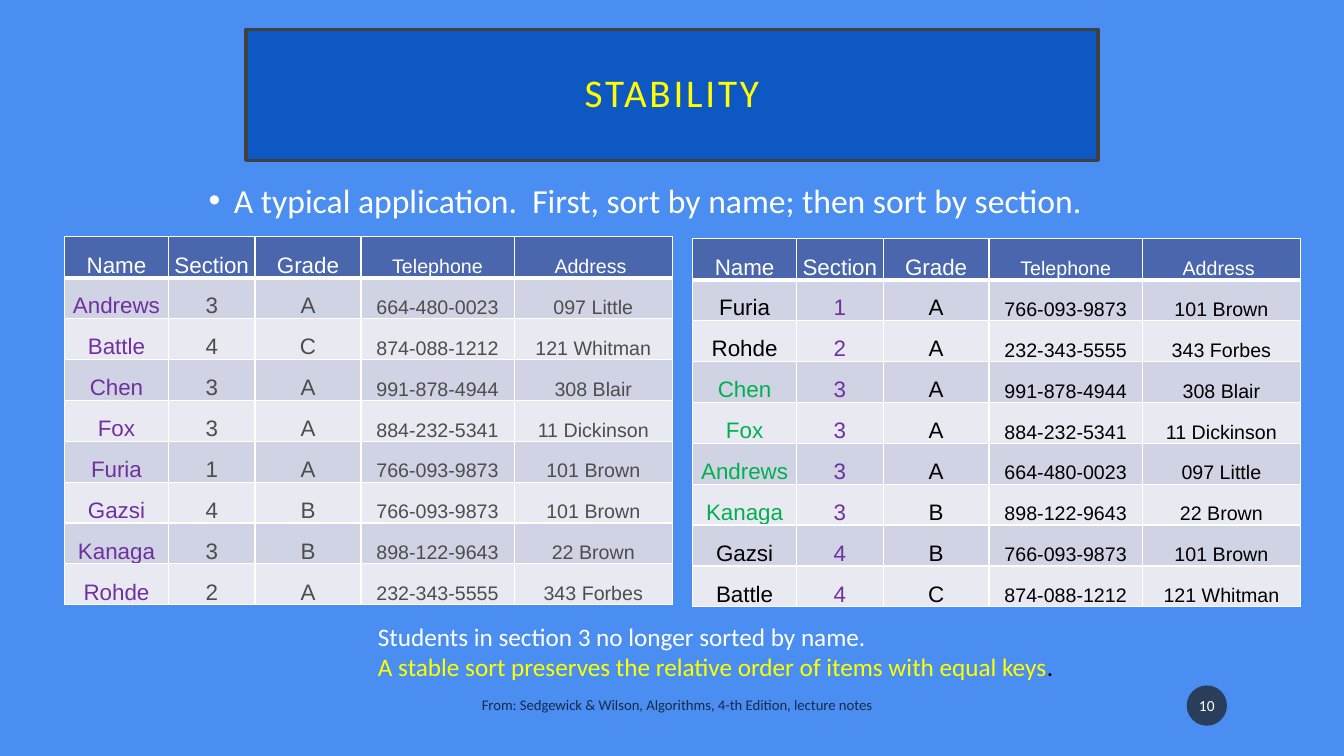
from dataclasses import dataclass

from lxml import etree
from pptx import Presentation
from pptx.dml.color import RGBColor
from pptx.enum.shapes import MSO_SHAPE
from pptx.enum.text import MSO_ANCHOR, MSO_AUTO_SIZE, PP_ALIGN
from pptx.oxml.ns import qn
from pptx.util import Inches, Pt

CENTER = PP_ALIGN.CENTER
MIDDLE, BOTTOM = MSO_ANCHOR.MIDDLE, MSO_ANCHOR.BOTTOM
NO_FIT = MSO_AUTO_SIZE.NONE
RECTANGLE, OVAL = MSO_SHAPE.RECTANGLE, MSO_SHAPE.OVAL


@dataclass(frozen=True)
class Theme:
    background: str = "4A8EF2"
    title_fill: str = "0E58C4"
    title_line: str = "404040"
    header_fill: str = "4A66AC"
    bands: tuple = ("D0D3E3", "E9EAF1")
    badge_fill: str = "1D1D1D"
    white: str = "FFFFFF"
    black: str = "000000"
    yellow: str = "FFFF00"
    purple: str = "7030A0"
    green: str = "00B050"
    gray: str = "4D4D4D"
    text_font: str = "Calibri"
    table_font: str = "Arial"
    title_size: float = 28
    body_size: float = 24
    note_size: float = 18
    cell_size: float = 16
    detail_size: float = 14
    badge_size: float = 11
    footer_size: float = 10.5


THEME = Theme()
HEADINGS = ("Name", "Section", "Grade", "Telephone", "Address ")
COLUMN_WIDTHS = (1.03, 0.86, 1.05, 1.52, 1.57)
TABLE_HEIGHT = 3.65
STUDENTS = (
    ("Andrews", "3", "A", "664-480-0023", "097 Little"),
    ("Battle", "4", "C", "874-088-1212", "121 Whitman"),
    ("Chen", "3", "A", "991-878-4944", "308 Blair"),
    ("Fox", "3", "A", "884-232-5341", "11 Dickinson"),
    ("Furia", "1", "A", "766-093-9873", "101 Brown"),
    ("Gazsi", "4", "B", "766-093-9873", "101 Brown"),
    ("Kanaga", "3", "B", "898-122-9643", "22 Brown"),
    ("Rohde", "2", "A", "232-343-5555", "343 Forbes"),
)
SECTION_ORDER = ("Furia", "Rohde", "Chen", "Fox", "Andrews", "Kanaga", "Gazsi", "Battle")


def rgb(value):
    return RGBColor.from_string(value)


def format_span(span, size, color, font=THEME.text_font):
    span.font.size = Pt(size)
    span.font.name = font
    span.font.color.rgb = rgb(color)


def place(shape, box):
    shape.left, shape.top, shape.width, shape.height = map(Inches, box)


def set_margins(frame, left, top, right, bottom):
    frame.margin_left, frame.margin_top = Inches(left), Inches(top)
    frame.margin_right, frame.margin_bottom = Inches(right), Inches(bottom)


def set_opacity(element, percent):
    color = next(element.iter(qn("a:srgbClr")))
    etree.SubElement(color, qn("a:alpha")).set("val", str(percent * 1000))


def add_title(page, box):
    title = page.shapes.title
    place(title, box)
    title.fill.solid()
    title.fill.fore_color.rgb = rgb(THEME.title_fill)
    title.line.color.rgb = rgb(THEME.title_line)
    title.line.width = Pt(2.5)
    frame = title.text_frame
    frame.text = "STABILITY"
    frame.auto_size = NO_FIT
    frame.vertical_anchor = MIDDLE
    set_margins(frame, 0.2, 0.2, 0.2, 0.2)
    para = frame.paragraphs[0]
    para.alignment = CENTER
    para.line_spacing = 0.9
    span = para.runs[0]
    format_span(span, THEME.title_size, THEME.yellow)
    span.font._element.set("spc", "200")


def add_body(page, box):
    body = page.placeholders[1]
    place(body, box)
    frame = body.text_frame
    frame.text = "A typical application.\u00a0 First, sort by name; then sort by section."
    frame.auto_size = NO_FIT
    para = frame.paragraphs[0]
    para.space_before = Pt(10)
    format_span(para.runs[0], THEME.body_size, THEME.white)
    properties = para._p.get_or_add_pPr()
    properties.set("marL", str(Inches(0.25)))
    properties.set("indent", str(-Inches(0.25)))
    bullet_color = etree.SubElement(properties, qn("a:buClr"))
    etree.SubElement(bullet_color, qn("a:srgbClr")).set("val", THEME.white)
    etree.SubElement(properties, qn("a:buFont")).set("typeface", THEME.table_font)
    etree.SubElement(properties, qn("a:buChar")).set("char", "•")


def add_borders(cell, top, bottom):
    properties = cell._tc.get_or_add_tcPr()
    for side, width in (("L", 1), ("R", 1), ("T", top), ("B", bottom)):
        line = etree.SubElement(properties, qn(f"a:ln{side}"))
        line.set("w", str(Pt(width)))
        fill = etree.SubElement(line, qn("a:solidFill"))
        etree.SubElement(fill, qn("a:srgbClr")).set("val", THEME.white)


def format_cell(cell, text, size, color, fill):
    cell.fill.solid()
    cell.fill.fore_color.rgb = rgb(fill)
    cell.vertical_anchor = BOTTOM
    set_margins(cell, 0.01, 0.01, 0.01, 0)
    cell.text = text
    para = cell.text_frame.paragraphs[0]
    para.alignment = CENTER
    format_span(para.runs[0], size, color, THEME.table_font)


def add_student_table(page, left, top, students, row_colors):
    rows = (HEADINGS, *students)
    box = (left, top, sum(COLUMN_WIDTHS), TABLE_HEIGHT)
    table = page.shapes.add_table(len(rows), len(HEADINGS), *map(Inches, box)).table
    for column, width in zip(table.columns, COLUMN_WIDTHS):
        column.width = Inches(width)
    for r, values in enumerate(rows):
        table.rows[r].height = Inches(TABLE_HEIGHT / len(rows))
        fill = THEME.bands[(r - 1) % 2] if r else THEME.header_fill
        colors = row_colors(values) if r else (THEME.white,) * len(HEADINGS)
        for c, (text, color) in enumerate(zip(values, colors)):
            cell = table.cell(r, c)
            add_borders(cell, 3 if r == 1 else 1, 3 if r == 0 else 1)
            size = THEME.cell_size if c < 3 else THEME.detail_size
            format_cell(cell, text, size, color, fill)


def name_sorted_colors(student):
    return (THEME.purple,) + (THEME.gray,) * 4


def section_sorted_colors(student):
    name_color = THEME.green if student[1] == "3" else THEME.black
    return (name_color, THEME.purple) + (THEME.black,) * 3


def add_note(page, box):
    frame = page.shapes.add_textbox(*map(Inches, box)).text_frame
    frame.word_wrap = True
    lines = (
        (("Students in section 3 no longer sorted by name.", THEME.white),),
        (("A stable sort preserves the relative order of items with equal keys", THEME.yellow),
         (".", THEME.black)),
    )
    for index, line in enumerate(lines):
        para = frame.add_paragraph() if index else frame.paragraphs[0]
        for text, color in line:
            span = para.add_run()
            span.text = text
            format_span(span, THEME.note_size, color)


def add_footer(page, box):
    frame = page.shapes.add_textbox(*map(Inches, box)).text_frame
    frame.word_wrap = True
    frame.vertical_anchor = MIDDLE
    frame.text = "From: Sedgewick & Wilson, Algorithms, 4-th Edition, lecture notes"
    span = frame.paragraphs[0].runs[0]
    format_span(span, THEME.footer_size, THEME.black)
    set_opacity(span._r, 70)


def add_page_number(page, box):
    badge = page.shapes.add_shape(OVAL, *map(Inches, box))
    badge.shadow.inherit = False
    badge.fill.solid()
    badge.fill.fore_color.rgb = rgb(THEME.badge_fill)
    set_opacity(badge._element.spPr, 70)
    badge.line.fill.background()
    frame = badge.text_frame
    frame.text = "10"
    frame.vertical_anchor = MIDDLE
    set_margins(frame, 0.02, 0.05, 0.02, 0.05)
    para = frame.paragraphs[0]
    para.alignment = CENTER
    format_span(para.runs[0], THEME.badge_size, THEME.white)


def main():
    deck = Presentation()
    deck.slide_width, deck.slide_height = Inches(13.33), Inches(7.5)
    page = deck.slides.add_slide(deck.slide_layouts[1])
    page.background.fill.solid()
    page.background.fill.fore_color.rgb = rgb(THEME.background)
    add_title(page, (2.44, 0.29, 8.45, 1.3))
    add_body(page, (1.97, 1.73, 9.65, 0.63))
    add_footer(page, (4.68, 6.82, 4.49, 0.35))
    add_page_number(page, (11.77, 6.8, 0.4, 0.4))
    by_section = sorted(STUDENTS, key=lambda student: SECTION_ORDER.index(student[0]))
    add_student_table(page, 0.64, 2.35, STUDENTS, name_sorted_colors)
    add_student_table(page, 6.87, 2.37, by_section, section_sorted_colors)
    add_note(page, (3.65, 6.11, 7.55, 1.01))
    deck.save("out.pptx")


if __name__ == "__main__":
    main()
